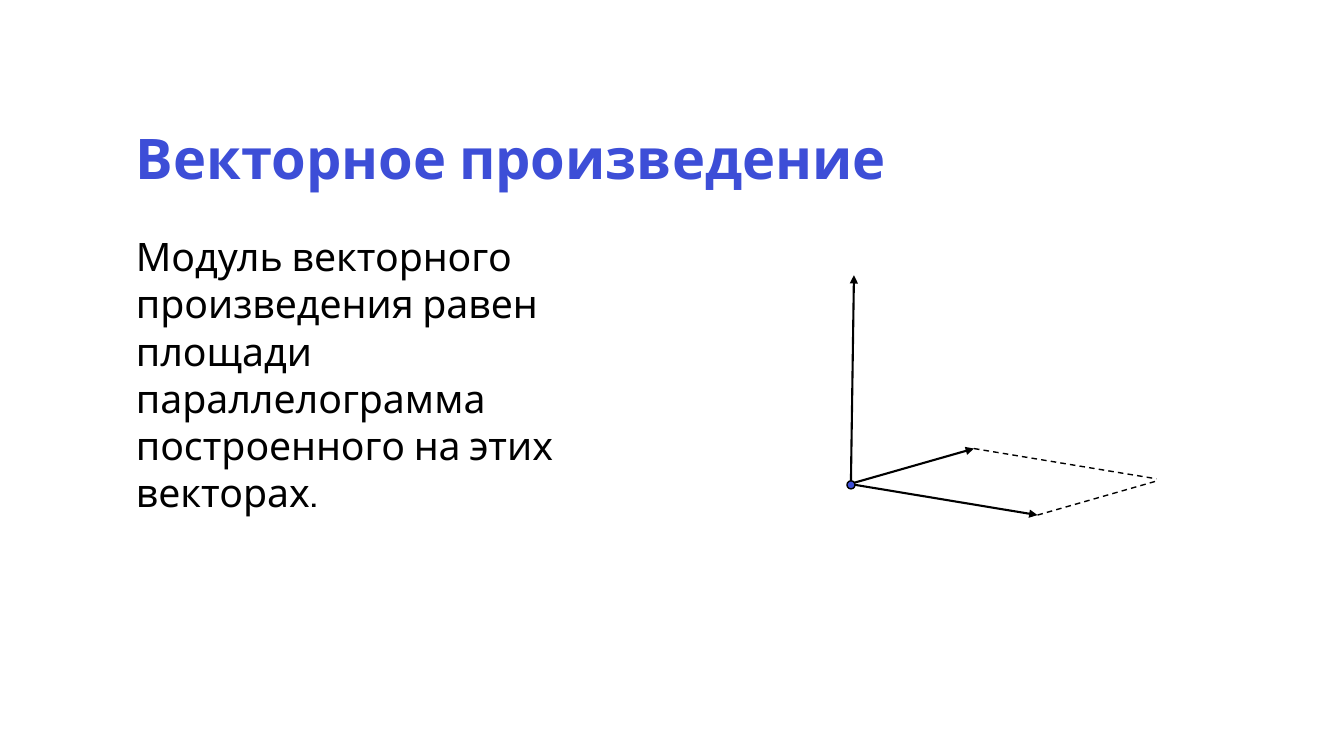
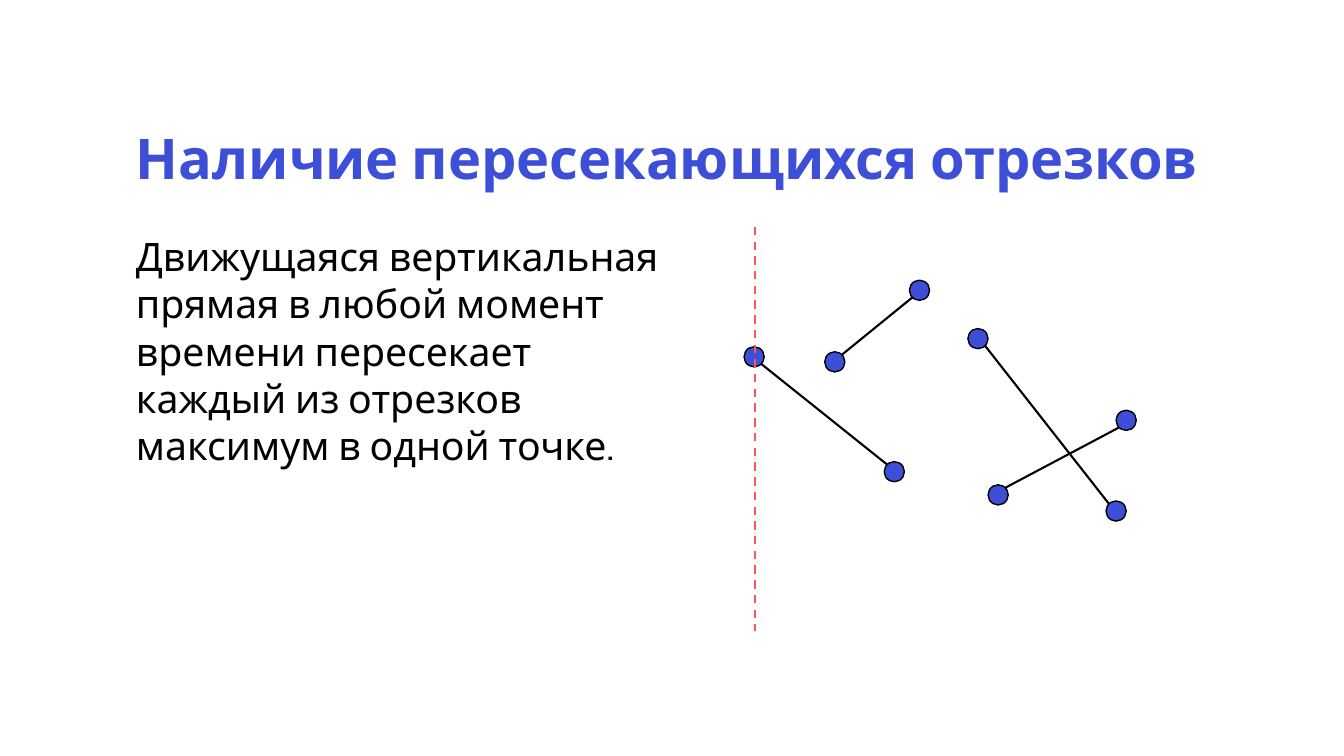
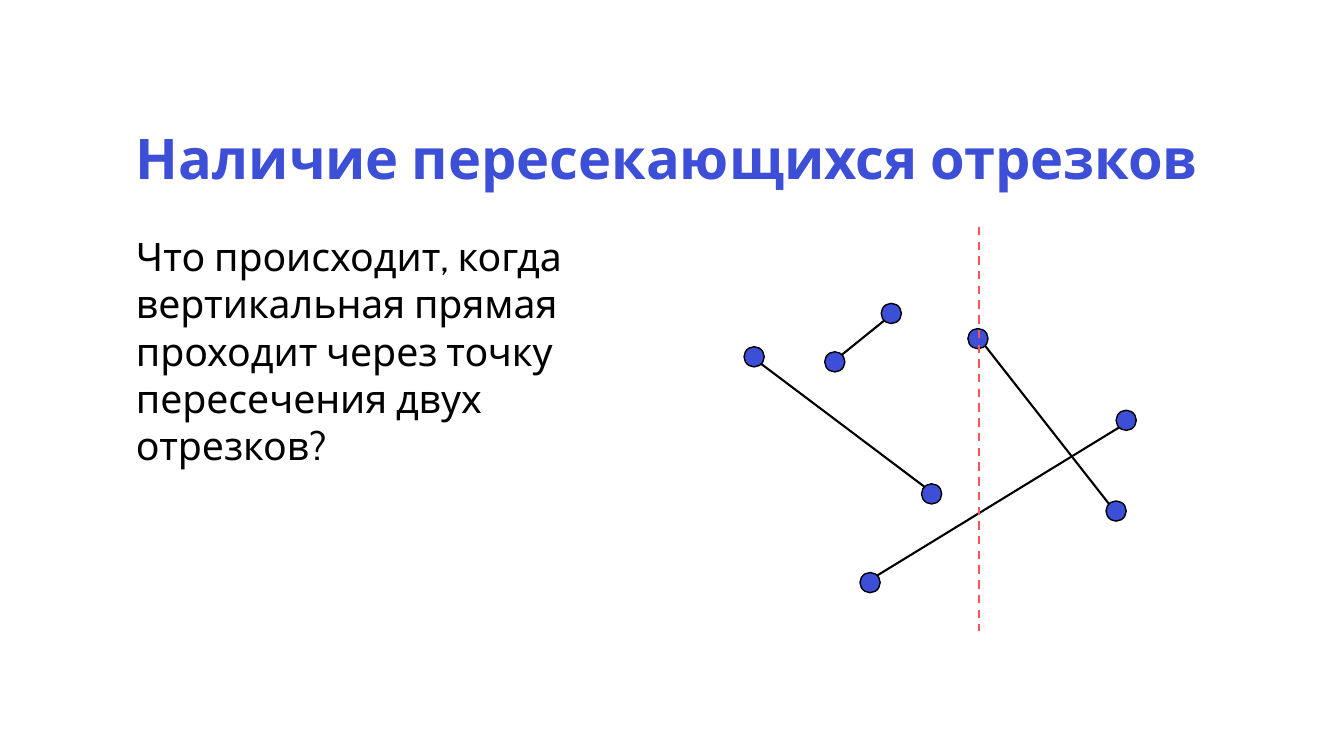
from dataclasses import dataclass
from math import copysign

from lxml.etree import SubElement
from pptx import Presentation
from pptx.dml.color import RGBColor
from pptx.enum.dml import MSO_LINE
from pptx.enum.shapes import MSO_CONNECTOR, MSO_SHAPE
from pptx.enum.text import MSO_AUTO_SIZE
from pptx.oxml.ns import qn
from pptx.util import Inches, Pt


@dataclass(frozen=True)
class Theme:
    """Colours, type and line widths shared by the slides."""

    font: str = "Cabin"
    accent: RGBColor = RGBColor(0x3D, 0x4E, 0xD7)
    ink: RGBColor = RGBColor(0, 0, 0)
    sweep: RGBColor = RGBColor(0xFF, 0x55, 0x55)
    title_size: int = 40
    body_size: int = 28
    thin: float = 1
    thick: float = 1.5


@dataclass(frozen=True)
class Box:
    """A region in inches with conversion of points inside it."""

    left: float
    top: float
    width: float
    height: float

    def place(self, x, y):
        """Return a slide position for a point relative to the box."""
        return Inches(self.left + x), Inches(self.top + y)


THEME = Theme()
TITLE_BOX = Box(1.25, 1.25, 10.85, 0.8)
BODY_BOX = Box(1.25, 2.26, 5.42, 2.46)
VECTOR_BOX = Box(8.4, 2.73, 3.08, 2.38)
SWEEP_BOX = Box(7.38, 2.25, 3.9, 4.01)
SEGMENT_DOT = 0.2
ORIGIN_DOT = 0.08


def add_text(page, box, text, size, color, bold=False):
    """Add one wrapped paragraph in the given box."""
    shape = page.shapes.add_textbox(*box.place(0, 0), Inches(box.width), Inches(box.height))
    frame = shape.text_frame
    frame.word_wrap = True
    frame.text = text
    font = frame.paragraphs[0].runs[0].font
    font.name, font.size, font.bold = THEME.font, Pt(size), bold
    font.color.rgb = color
    return frame


def add_title(page, text):
    """Add the slide title."""
    frame = add_text(page, TITLE_BOX, text, THEME.title_size, THEME.accent, bold=True)
    frame.paragraphs[0].line_spacing = 0.9


def add_body(page, text):
    """Add the explanation on the left."""
    frame = add_text(page, BODY_BOX, text, THEME.body_size, THEME.ink)
    frame.auto_size = MSO_AUTO_SIZE.SHAPE_TO_FIT_TEXT


def add_dot(page, box, center, size):
    """Add a filled dot around a point of the box."""
    x, y = center
    dot = page.shapes.add_shape(
        MSO_SHAPE.OVAL, *box.place(x - size / 2, y - size / 2), Inches(size), Inches(size))
    dot.shadow.inherit = False
    dot.fill.solid()
    dot.fill.fore_color.rgb = THEME.accent
    dot.line.color.rgb = THEME.ink
    dot.line.width = Pt(THEME.thin)
    return dot


def add_line(page, box, start, end, width=THEME.thick, color=THEME.ink, dashed=False, arrow=False):
    """Add a straight line between two points of the box."""
    line = page.shapes.add_connector(MSO_CONNECTOR.STRAIGHT, *box.place(*start), *box.place(*end))
    line.line.color.rgb = color
    line.line.width = Pt(width)
    if dashed:
        line.line.dash_style = MSO_LINE.DASH
    properties = line.element.spPr
    if arrow:
        SubElement(properties.find(qn("a:ln")), qn("a:tailEnd"), type="triangle")
    SubElement(properties, qn("a:effectLst"))
    return line


def add_segment(page, box, start, end):
    """Add two dots and the line between their facing diagonal points."""
    for center in (start, end):
        add_dot(page, box, center, SEGMENT_DOT)
    reach = SEGMENT_DOT / 2 * 0.5 ** 0.5
    dx = copysign(reach, end[0] - start[0])
    dy = copysign(reach, end[1] - start[1])
    add_line(page, box, (start[0] + dx, start[1] + dy), (end[0] - dx, end[1] - dy))


def add_vector_diagram(page, box):
    """Draw two vectors, their product and the parallelogram they span."""
    origin = (0.04, 2.08)
    dot = add_dot(page, box, origin, ORIGIN_DOT)
    upper_start, upper_tip = (0.07, 2.06), (1.26, 1.72)
    lower_start, lower_tip = (0.08, 2.08), (1.89, 2.38)
    sides = ((upper_start, upper_tip), (lower_start, lower_tip))
    for start, tip in sides:
        add_line(page, box, start, tip, arrow=True)
    product = add_line(page, box, (0.04, 2.04), (0.07, 0), arrow=True)
    product.begin_connect(dot, 0)
    for (_, tip), (start, end) in zip(sides, reversed(sides)):
        corner = (tip[0] + end[0] - start[0], tip[1] + end[1] - start[1])
        add_line(page, box, tip, corner, width=THEME.thin, dashed=True)


def add_sweep_diagram(page, box, segments, sweep_x):
    """Draw segments crossed by a vertical sweep line."""
    for start, end in segments:
        add_segment(page, box, start, end)
    add_line(page, box, (sweep_x, 0), (sweep_x, box.height), color=THEME.sweep, dashed=True)


def add_page(deck, title, body):
    """Add a blank slide with its title and explanation."""
    page = deck.slides.add_slide(deck.slide_layouts[6])
    add_title(page, title)
    add_body(page, body)
    return page


def add_vector_page(deck):
    """Add the slide about the vector product."""
    page = add_page(
        deck, "Векторное произведение",
        "Модуль векторного произведения равен площади параллелограмма построенного на этих векторах.")
    add_vector_diagram(page, VECTOR_BOX)


def add_sweep_page(deck, body, left_end, rising_start, short_end, sweep_x):
    """Add a slide about crossing segments."""
    page = add_page(deck, "Наличие пересекающихся отрезков", body)
    segments = (
        ((0.1, 1.29), left_end),
        (rising_start, (3.79, 1.92)),
        ((2.32, 1.11), (3.69, 2.82)),
        ((0.9, 1.34), short_end),
    )
    add_sweep_diagram(page, SWEEP_BOX, segments, sweep_x)


def main():
    """Build and save the deck."""
    deck = Presentation()
    deck.slide_width, deck.slide_height = Inches(13.33), Inches(7.5)
    add_vector_page(deck)
    add_sweep_page(
        deck,
        "Движущаяся вертикальная прямая в любой момент времени пересекает "
        "каждый из отрезков максимум в одной точке.",
        left_end=(1.49, 2.43), rising_start=(2.52, 2.66), short_end=(1.74, 0.63), sweep_x=0.11)
    add_sweep_page(
        deck,
        "Что происходит, когда вертикальная прямая проходит через точку "
        "пересечения двух отрезков?",
        left_end=(1.86, 2.65), rising_start=(1.25, 3.53), short_end=(1.46, 0.86), sweep_x=2.33)
    deck.save("out.pptx")


if __name__ == "__main__":
    main()
